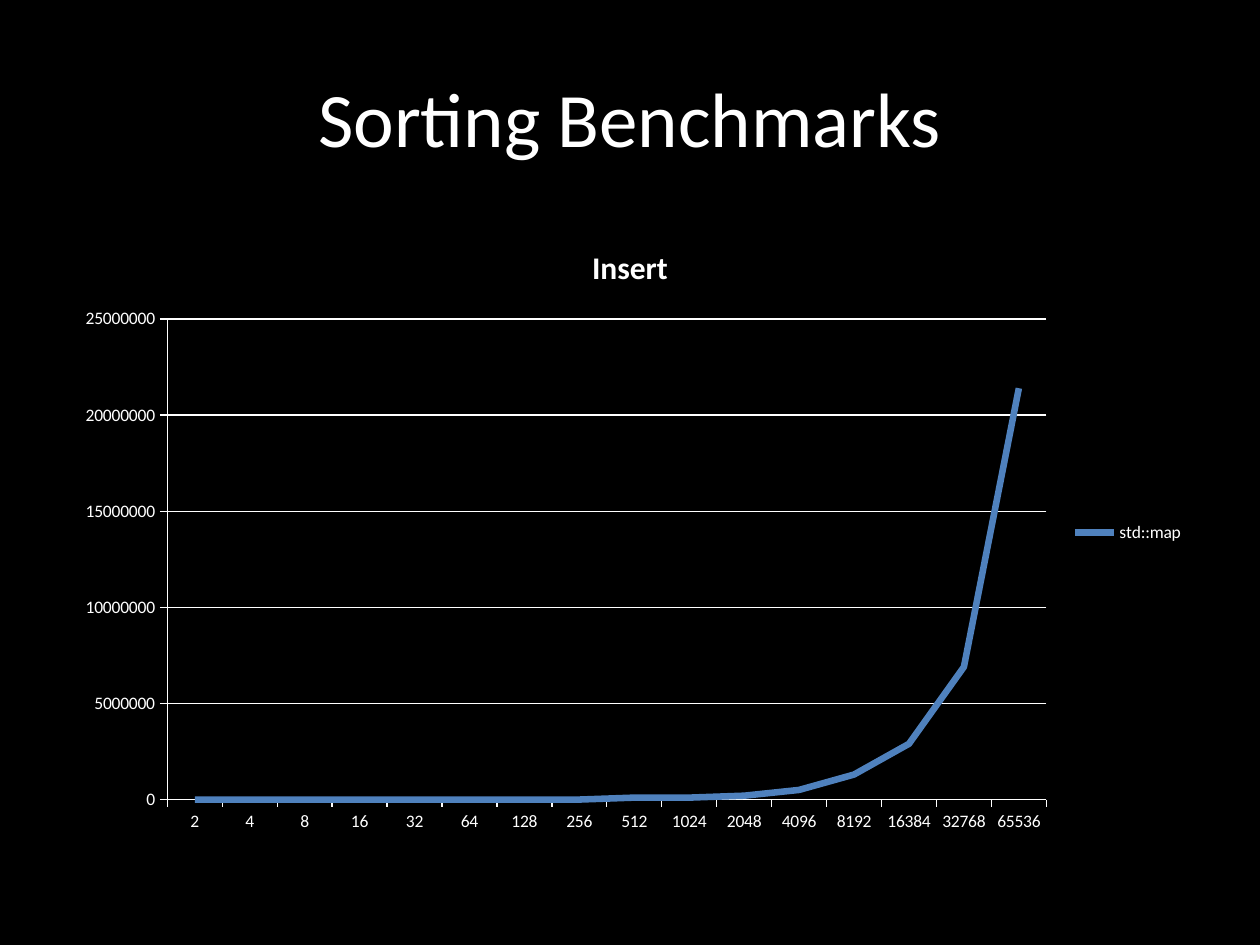
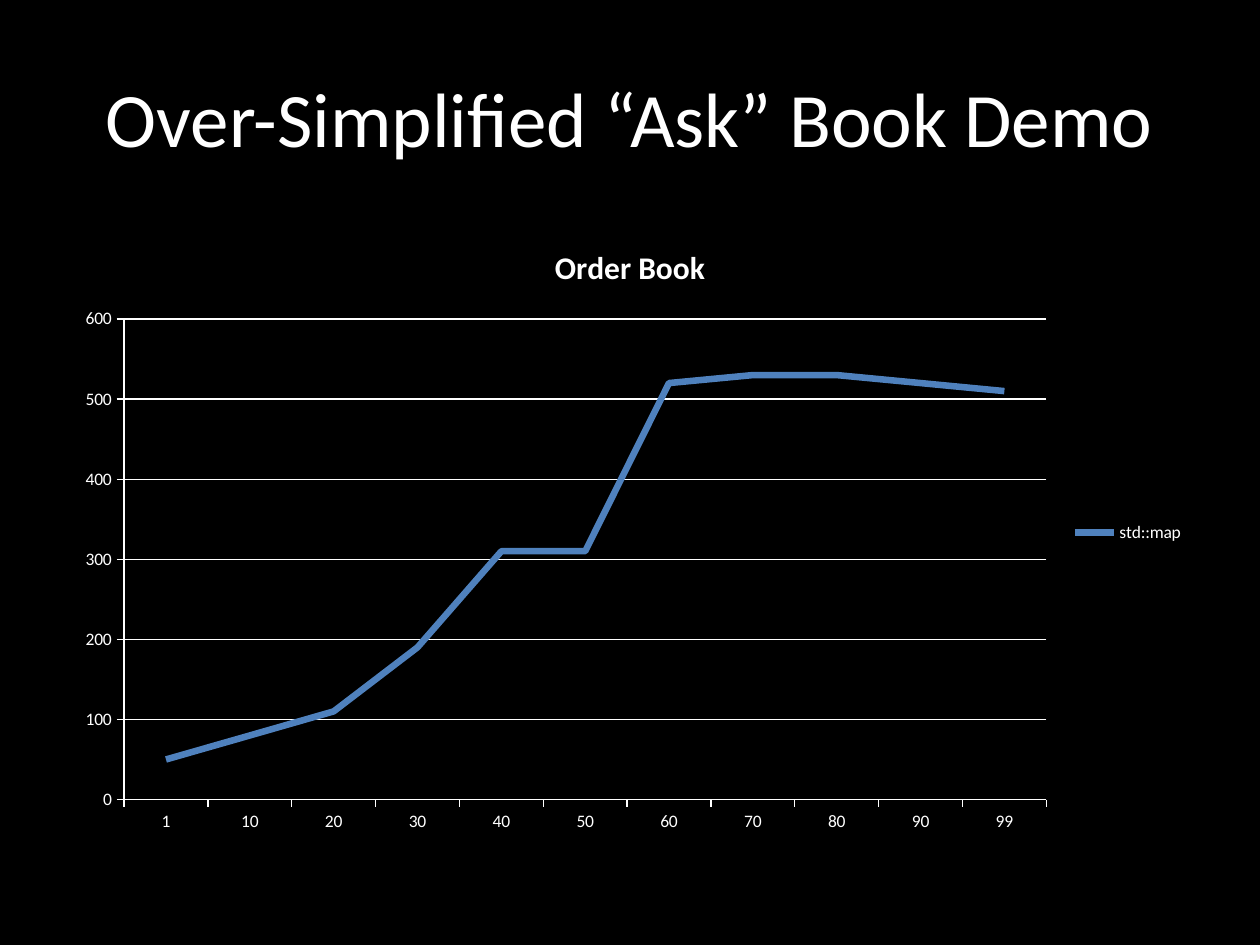
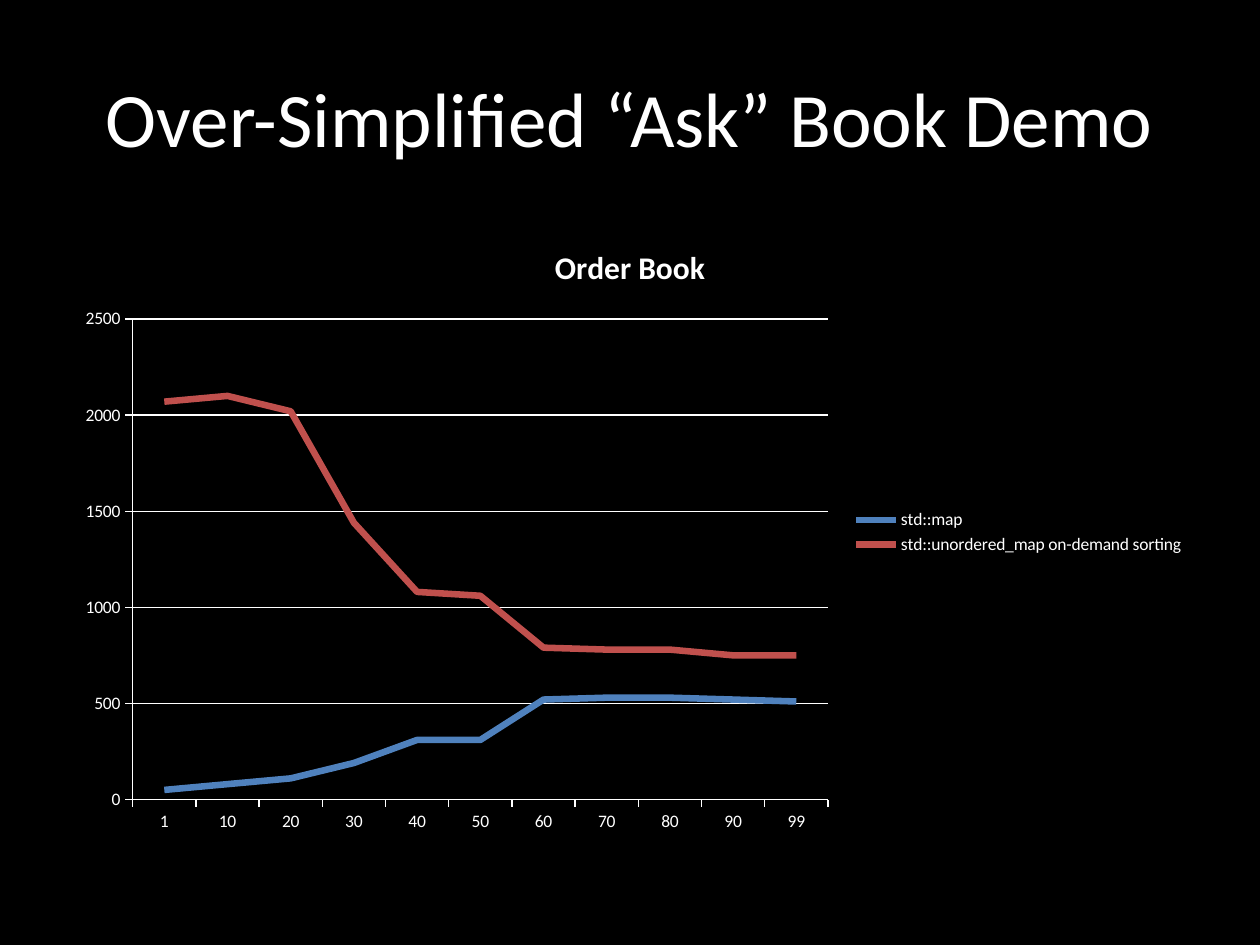
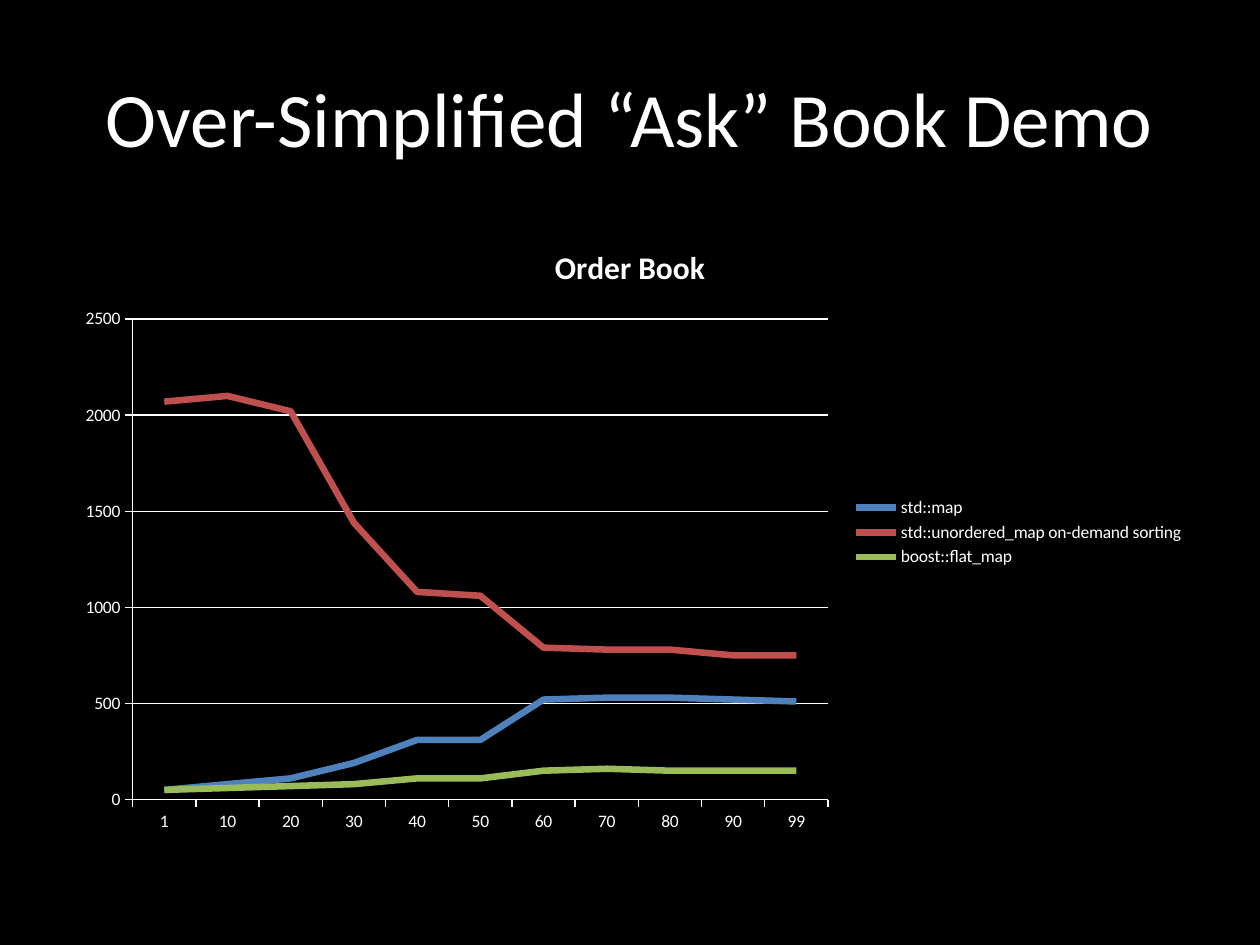
from pptx import Presentation
from pptx import util as u
from pptx.chart.data import CategoryChartData
from pptx.dml.color import RGBColor
from pptx.enum import chart as charts, text

PX = 9144  # EMU per px, at 100 px to the inch
FONT = "Calibri"
COLOURS = {
    "background": "000000",
    "text": "FFFFFF",
    "std::map": "4F81BD",
    "std::unordered_map on-demand sorting": "C0504D",
    "boost::flat_map": "9BBB59",
}


def style_font(font, size, bold=False):
    font.name = FONT
    font.size = u.Pt(size)
    font.bold = bold
    font.color.rgb = RGBColor.from_string(COLOURS["text"])


def style_line(line, colour, width):
    line.color.rgb = RGBColor.from_string(COLOURS[colour])
    line.width = u.Pt(width)


# Measurements
insert_sizes = [2 ** power for power in range(1, 17)]
insert_times = {
    "std::map": [0] * 8 + [100000, 100000, 200000, 500000,
                           1300000, 2900000, 6900000, 21400000],
}
book_steps = [1, *range(10, 100, 10), 99]
book_times = {
    "std::map": [50, 80, 110, 190, 310, 310, 520, 530, 530, 520, 510],
    "std::unordered_map on-demand sorting":
        [2070, 2100, 2020, 1440, 1080, 1060, 790, 780, 780, 750, 750],
    "boost::flat_map": [50, 60, 70, 80, 110, 110, 150, 160, 150, 150, 150],
}

# Slides: title, chart title, categories, series; the book gains one series a slide
pages = [("Sorting Benchmarks", "Insert", insert_sizes, insert_times)]
for count in range(1, len(book_times) + 1):
    shown = dict(list(book_times.items())[:count])
    pages.append(("Over-Simplified “Ask” Book Demo", "Order Book", book_steps, shown))

# Deck with a shared black background
deck = Presentation()
deck.slide_width, deck.slide_height = 1000 * PX, 750 * PX
backdrop = deck.slide_master.background.fill
backdrop.solid()
backdrop.fore_color.rgb = RGBColor.from_string(COLOURS["background"])

for heading, chart_heading, categories, timings in pages:
    page = deck.slides.add_slide(deck.slide_layouts[6])

    # Slide title
    box = page.shapes.add_textbox(50 * PX, 30 * PX, 900 * PX, 125 * PX)
    frame = box.text_frame
    frame.word_wrap = True
    frame.vertical_anchor = text.MSO_ANCHOR.MIDDLE
    para = frame.paragraphs[0]
    para.text = heading
    para.alignment = text.PP_ALIGN.CENTER
    style_font(para.font, 44)

    # Line chart
    data = CategoryChartData()
    data.categories = categories
    for name, values in timings.items():
        data.add_series(name, values)
    chart = page.shapes.add_chart(
        charts.XL_CHART_TYPE.LINE, 50 * PX, 175 * PX, 900 * PX, 495 * PX, data
    ).chart
    style_font(chart.font, 10)
    chart.plots[0].vary_by_categories = False
    for series in chart.plots[0].series:
        series.smooth = False
        series.marker.style = charts.XL_MARKER_STYLE.NONE
        style_line(series.format.line, series.name, 3.75)

    # Chart title and legend
    chart.has_title = True
    chart_title = chart.chart_title.text_frame.paragraphs[0]
    chart_title.text = chart_heading
    style_font(chart_title.font, 18, bold=True)
    chart.chart_title.include_in_layout = False
    chart.has_legend = True
    chart.legend.position = charts.XL_LEGEND_POSITION.RIGHT
    chart.legend.include_in_layout = False

    # Axes and gridlines
    for axis in (chart.category_axis, chart.value_axis):
        axis.major_tick_mark = charts.XL_TICK_MARK.OUTSIDE
        axis.minor_tick_mark = charts.XL_TICK_MARK.NONE
        style_line(axis.format.line, "text", 0.75)
    chart.value_axis.has_major_gridlines = True
    style_line(chart.value_axis.major_gridlines.format.line, "text", 0.75)

deck.save("out.pptx")
